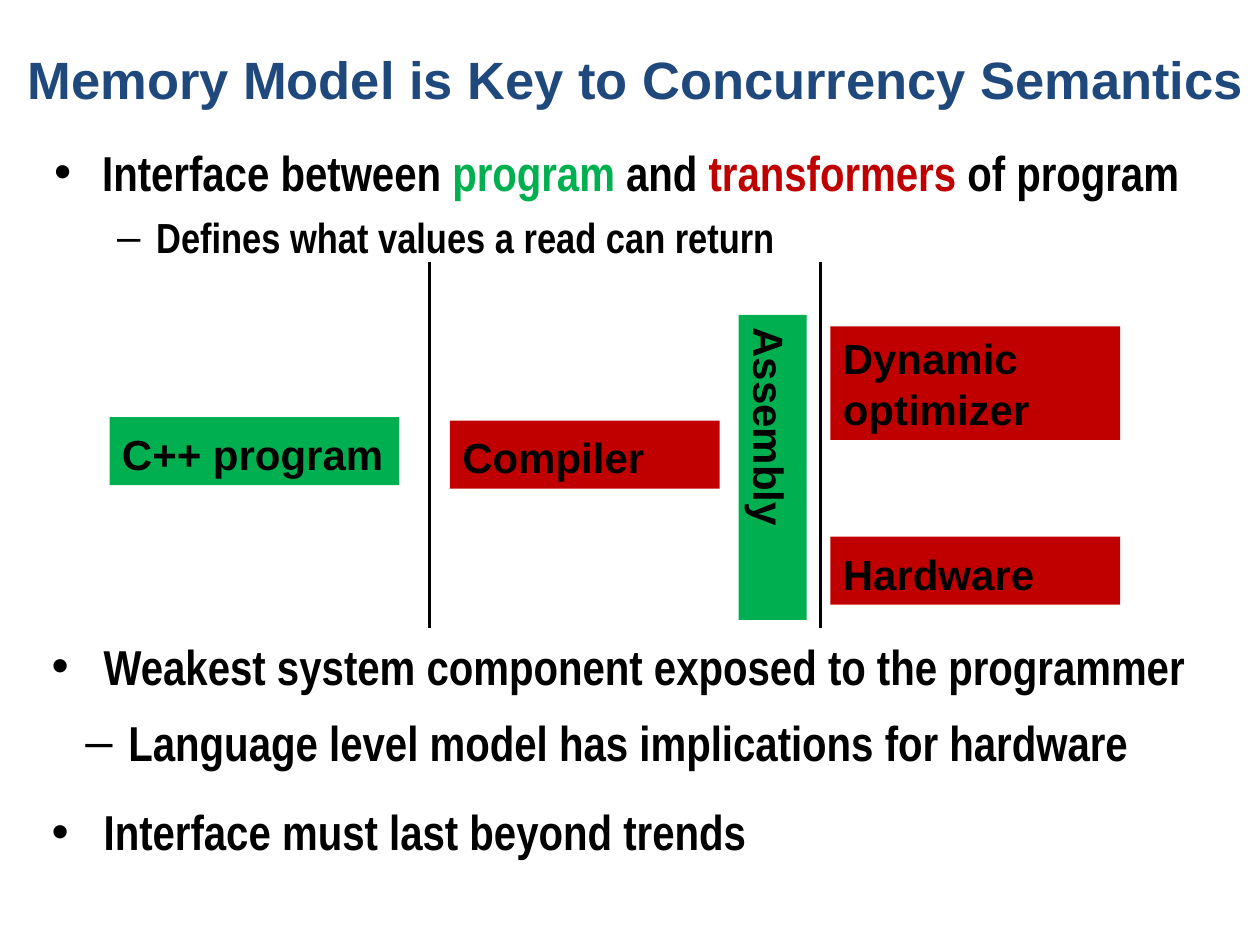
from lxml import etree
from pptx import Presentation
from pptx import util as u
from pptx.dml.color import RGBColor
from pptx.enum import shapes, text
from pptx.oxml.ns import qn

BLACK = RGBColor(0x00, 0x00, 0x00)
BLUE = RGBColor(0x1F, 0x49, 0x7D)
GREEN = RGBColor(0x00, 0xB0, 0x50)
RED = RGBColor(0xC0, 0x00, 0x00)


def cm(*vals):
    """Turn centimetres into lengths."""
    return [u.Cm(v) for v in vals]


def style(font, size, color=BLACK, name="Arial"):
    """Set a bold font."""
    font.name, font.size, font.bold = name, u.Pt(size), True
    font.color.rgb = color


def bullet(para, mark, left, hang):
    """Give a paragraph a black bullet and a hanging indent."""
    props = para._p.get_or_add_pPr()
    props.set("marL", str(u.Cm(left)))
    props.set("indent", str(-u.Cm(hang)))
    tint = etree.SubElement(props, qn("a:buClr"))
    etree.SubElement(tint, qn("a:srgbClr"), val=str(BLACK))
    etree.SubElement(props, qn("a:buFont"), typeface="Arial")
    etree.SubElement(props, qn("a:buChar"), char=mark)


def title(slide, box, words):
    """Place the centred slide title."""
    frame = slide.shapes.add_textbox(*cm(*box)).text_frame
    frame.word_wrap = True
    frame.vertical_anchor = text.MSO_ANCHOR.MIDDLE
    para = frame.paragraphs[0]
    para.text = words
    para.alignment = text.PP_ALIGN.CENTER
    style(para.font, 30, BLUE)


def points(slide, box, items):
    """Place a bulleted list of (runs, mark, size, gap, left, hang)."""
    frame = slide.shapes.add_textbox(*cm(*box)).text_frame
    frame.word_wrap = True
    for i, (runs, mark, size, gap, left, hang) in enumerate(items):
        para = frame.add_paragraph() if i else frame.paragraphs[0]
        para.space_before = u.Pt(gap)
        bullet(para, mark, left, hang)
        style(para.font, size, name="Arial Narrow")
        for words, color in runs:
            run = para.add_run()
            run.text = words
            style(run.font, size, color, "Arial Narrow")


def block(slide, box, words, fill, pitch=1.1, turn=0):
    """Place one labelled block."""
    shape = slide.shapes.add_shape(shapes.MSO_SHAPE.RECTANGLE, *cm(*box))
    shape.shadow.inherit = False
    shape.fill.solid()
    shape.fill.fore_color.rgb = fill
    shape.line.fill.background()
    shape.rotation = turn
    frame = shape.text_frame
    frame.word_wrap = False
    frame.vertical_anchor = text.MSO_ANCHOR.MIDDLE
    para = frame.paragraphs[0]
    para.text = words
    para.alignment = text.PP_ALIGN.LEFT
    para.line_spacing = pitch
    para.space_before = u.Pt(15)
    style(para.font, 24)


def rule(slide, x, top, end):
    """Draw a vertical divider."""
    line = slide.shapes.add_connector(
        shapes.MSO_CONNECTOR.STRAIGHT, *cm(x, top, x, end))
    line.line.color.rgb = BLACK
    line.line.width = u.Pt(2)
    etree.SubElement(line._element.spPr, qn("a:effectLst"))


def stack(slide, box):
    """Place the layers from program to hardware, split by dividers."""
    x, y, wide, high = box
    side, row = 5.84, 1.37
    last = x + wide - side
    block(slide, (x, y + 3.13, side, row), "C++ program", GREEN)
    block(slide, (x + 6.86, y + 3.2, 5.44, row), "Compiler", RED)
    block(slide, (last, y + 1.3, side, 2.29), "Dynamic \voptimizer", RED, 1.0)
    block(slide, (last, y + 5.54, side, row), "Hardware", RED)
    block(slide, (x + 10.29, y + 3.46, 6.15, row), "Assembly", GREEN, turn=90)
    for dx in (6.45, 14.33):
        rule(slide, x + dx, y, y + high)


def main():
    """Build and save the slide."""
    deck = Presentation()
    deck.slide_width, deck.slide_height = cm(25.4, 19.05)
    slide = deck.slides.add_slide(deck.slide_layouts[6])
    title(slide, (-0.2, 0, 26.04, 3.18),
          "Memory Model is Key to Concurrency Semantics")
    points(slide, (0.84, 2.74, 24.13, 13.41), [
        ([("Interface between ", BLACK), ("program", GREEN), (" and ", BLACK),
          ("transformers ", RED), ("of program", BLACK)],
         "•", 28, 7, 0.97, 0.97),
        ([("Defines what values a read can return", BLACK)],
         "–", 24, 6, 2.06, 0.79),
    ])
    stack(slide, (2.21, 5.28, 20.37, 7.37))
    points(slide, (0.79, 12.7, 23.98, 4.78), [
        ([("Weakest system component exposed to the programmer", BLACK)],
         "•", 28, 10, 1.05, 1.05),
        ([("Language level model has implications for hardware", BLACK)],
         "–", 28, 10, 1.55, 0.87),
        ([("Interface must last beyond trends", BLACK)],
         "•", 28, 17.5, 1.05, 1.05),
    ])
    deck.save("out.pptx")


if __name__ == "__main__":
    main()
